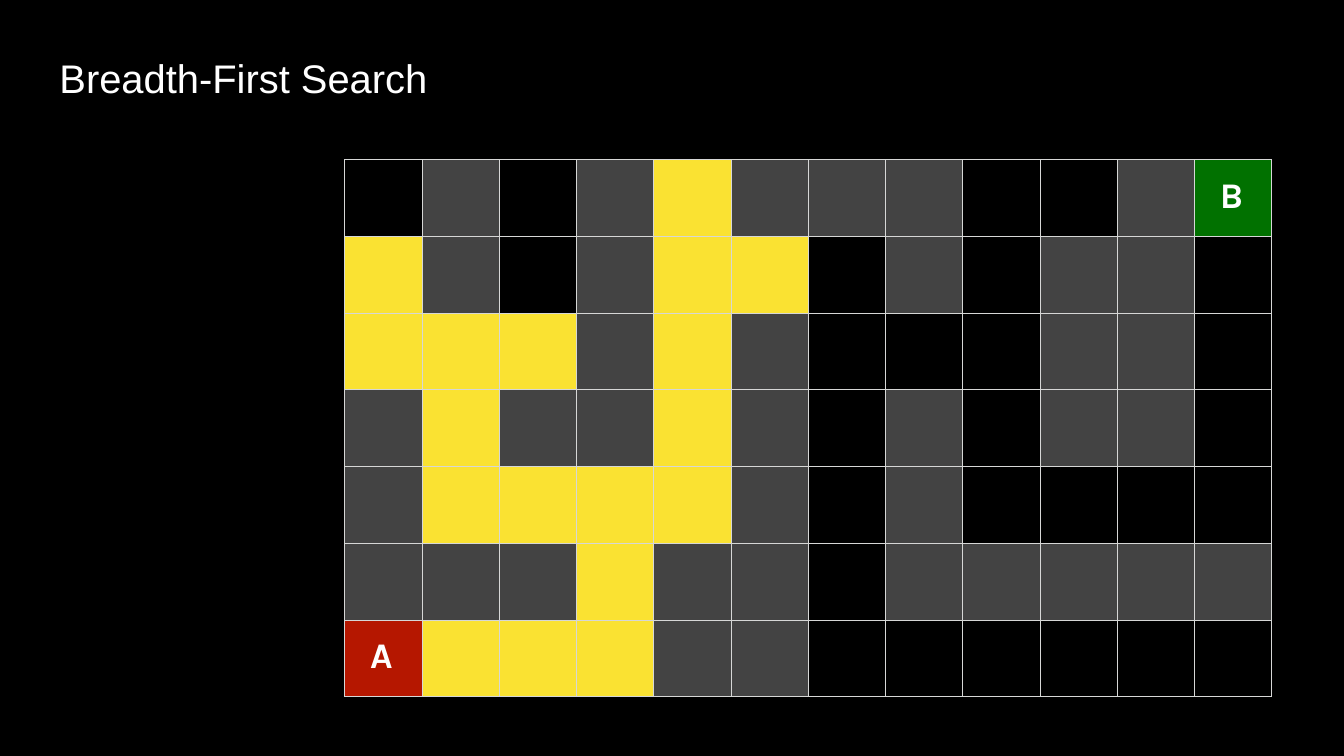
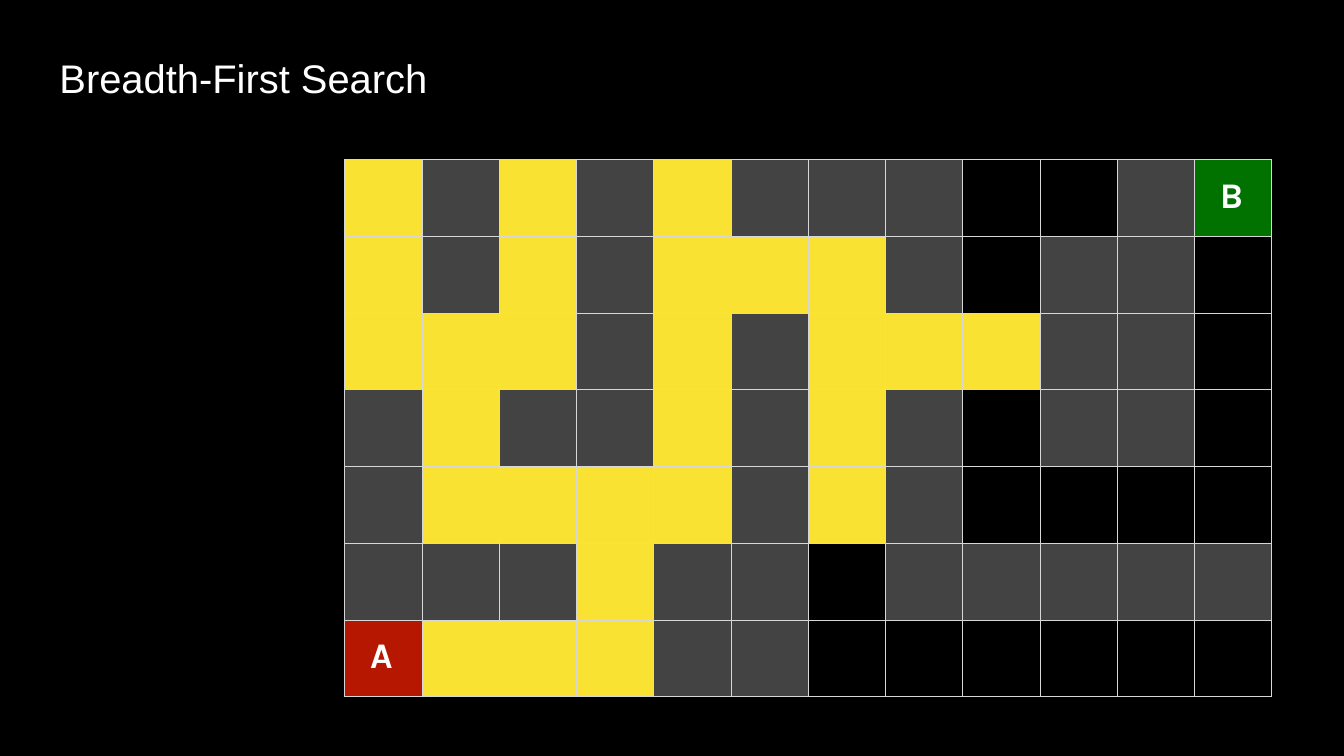
from lxml.etree import SubElement
from pptx import Presentation
from pptx.dml.color import RGBColor
from pptx.enum.text import MSO_ANCHOR, MSO_AUTO_SIZE, PP_ALIGN
from pptx.oxml.ns import qn
from pptx.util import Cm, Pt

BLACK = RGBColor(0x00, 0x00, 0x00)
WHITE = RGBColor(0xFF, 0xFF, 0xFF)
WALL = RGBColor(0x43, 0x43, 0x43)
EXPLORED = RGBColor(0xFA, 0xE2, 0x32)
START = RGBColor(0xB5, 0x17, 0x00)
GOAL = RGBColor(0x01, 0x71, 0x00)
GRID_LINE = RGBColor(0xD6, 0xD7, 0xD6)

CELL_WIDTH = Cm(3.21)
CELL_HEIGHT = Cm(3.19)

# Digits give the slide on which a square is first explored.
MAZE = [
    "2#2#1###..#B",
    "1#2#112#.##.",
    "111#1#222##.",
    "#1##1#2#.##.",
    "#1111#2#....",
    "###1##.#####",
    "A111##......",
]
FILLS = {"#": WALL, ".": BLACK, "A": START, "B": GOAL}


def write(frame, text, font, size, color=WHITE, bold=False):
    para = frame.paragraphs[0]
    para.alignment = PP_ALIGN.LEFT
    span = para.add_run()
    span.text = text
    span.font.name = font
    span.font.size = Pt(size)
    span.font.color.rgb = color
    span.font.bold = bold


def draw_borders(cell):
    properties = cell._tc.get_or_add_tcPr()
    for side in ("a:lnL", "a:lnR", "a:lnT", "a:lnB"):
        line = SubElement(properties, qn(side), w=str(Pt(1)))
        fill = SubElement(line, qn("a:solidFill"))
        SubElement(fill, qn("a:srgbClr"), val=str(GRID_LINE))


deck = Presentation()
deck.slide_width = Cm(55.85)
deck.slide_height = Cm(31.42)
background = deck.slide_master.background.fill
background.solid()
background.fore_color.rgb = BLACK

layout = deck.slide_layouts.get_by_name("Title Only")
layout_title = layout.placeholders[0]
layout_title.left, layout_title.top = Cm(1.73), Cm(1.09)
layout_title.width, layout_title.height = Cm(32.84), Cm(4.52)

for step in (1, 2):
    page = deck.slides.add_slide(layout)
    frame = page.shapes.title.text_frame
    frame.auto_size = MSO_AUTO_SIZE.NONE
    frame.vertical_anchor = MSO_ANCHOR.TOP
    frame.margin_left, frame.margin_top = Cm(0.74), Cm(1.12)
    frame.margin_right = frame.margin_bottom = 0
    write(frame, "Breadth-First Search", font="Arial", size=47)

    row_count, column_count = len(MAZE), len(MAZE[0])
    table = page.shapes.add_table(
        row_count, column_count, Cm(14.33), Cm(6.63),
        CELL_WIDTH * column_count, CELL_HEIGHT * row_count).table
    table.first_row = False
    table.horz_banding = False
    for column in table.columns:
        column.width = CELL_WIDTH
    for row, squares in zip(table.rows, MAZE):
        row.height = CELL_HEIGHT
        for cell, square in zip(row.cells, squares):
            draw_borders(cell)
            cell.fill.solid()
            if square.isdigit():
                color = EXPLORED if int(square) <= step else BLACK
            else:
                color = FILLS[square]
            cell.fill.fore_color.rgb = color
            if square.isalpha():
                cell.margin_left, cell.margin_top = Cm(1.05), Cm(0.65)
                cell.margin_right = cell.margin_bottom = 0
                write(cell.text_frame, square, font="Karla", size=42.5, bold=True)

deck.save("out.pptx")
